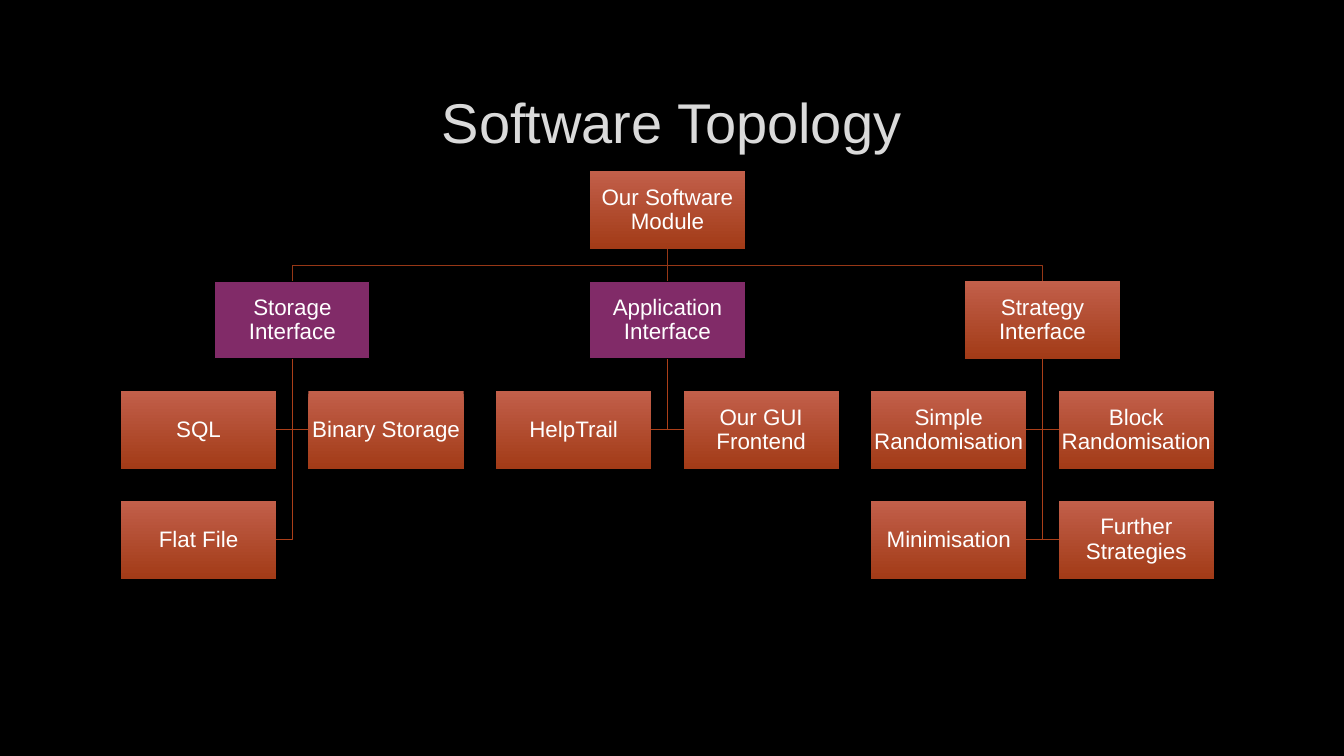
from pptx import Presentation
from pptx.dml.color import RGBColor
from pptx.enum.shapes import MSO_CONNECTOR as Connector, MSO_SHAPE as Shape
from pptx.enum.text import MSO_ANCHOR as Anchor, PP_ALIGN as Align
from pptx.oxml.ns import qn
from pptx.util import Inches, Pt
from lxml.etree import SubElement

COLORS = {
    "background": "000000", "title": "DADADA", "text": "FFFFFF",
    "top": "C25F4A", "bottom": "A23B17", "interface": "812B68",
    "trunk": "973716", "branch": "AB3F19",
}
FONT = "Arial"
BOX_WIDTH, BOX_HEIGHT = 1.54, 0.77
ROOT_X, ROOT_Y = 6.62, 1.7
COLUMN_STEP, ROW_STEP, LEAF_OFFSET = 3.72, 1.09, 0.93
GROUPS = [
    ("Storage Interface", True, ["SQL", "Binary Storage", "Flat File"]),
    ("Application Interface", True, ["HelpTrail", "Our GUI Frontend"]),
    ("Strategy Interface", False, ["Simple Randomisation", "Block Randomisation",
                                   "Minimisation", "Further Strategies"]),
]


class TopologySlide:
    """Draws styled elements on one slide."""

    def __init__(self, deck):
        self.page = deck.slides.add_slide(deck.slide_layouts[5])
        fill = self.page.background.fill
        fill.solid()
        fill.fore_color.rgb = self.color("background")

    def color(self, name):
        return RGBColor.from_string(COLORS[name])

    def label(self, frame, text, size, color):
        frame.word_wrap = True
        frame.vertical_anchor = Anchor.MIDDLE
        para = frame.paragraphs[0]
        para.alignment = Align.CENTER
        span = para.add_run()
        span.text = text
        span.font.name = FONT
        span.font.size = Pt(size)
        span.font.color.rgb = self.color(color)
        return para

    def title(self, text):
        box = self.page.shapes.title
        box.left, box.top = Inches(1), Inches(0.67)
        box.width, box.height = Inches(11.32), Inches(1.06)
        self.label(box.text_frame, text, 40, "title")

    def wire(self, points, color):
        corners = [(Inches(x), Inches(y)) for x, y in points]
        if len(corners) == 2:
            line = self.page.shapes.add_connector(Connector.STRAIGHT, *corners[0], *corners[1])
            SubElement(line._element.spPr, qn("a:effectLst"))
        else:
            builder = self.page.shapes.build_freeform(*corners[0])
            builder.add_line_segments(corners[1:], close=False)
            line = builder.convert_to_shape()
            line.fill.background()
            line.shadow.inherit = False
        line.line.color.rgb = self.color(color)
        line.line.width = Pt(0.75)

    def box(self, text, center, top, plain=False):
        box = self.page.shapes.add_shape(
            Shape.RECTANGLE, Inches(center - BOX_WIDTH / 2), Inches(top),
            Inches(BOX_WIDTH), Inches(BOX_HEIGHT))
        box.shadow.inherit = False
        if plain:
            box.fill.solid()
            box.fill.fore_color.rgb = self.color("interface")
            box.line.color.rgb = self.color("background")
            box.line.width = Pt(0.75)
        else:
            box.fill.gradient()
            box.fill.gradient_angle = 270
            for stop, name in zip(box.fill.gradient_stops, ("top", "bottom")):
                stop.color.rgb = self.color(name)
            box.line.fill.background()
        frame = box.text_frame
        frame.margin_left = frame.margin_right = Inches(0.01)
        frame.margin_top = frame.margin_bottom = Inches(0.01)
        self.label(frame, text, 16, "text").line_spacing = 0.9


def main():
    deck = Presentation()
    deck.slide_width, deck.slide_height = Inches(13.33), Inches(7.5)
    slide = TopologySlide(deck)
    slide.title("Software Topology")

    root_bottom = ROOT_Y + BOX_HEIGHT
    interface_y = ROOT_Y + ROW_STEP
    bus_y = (root_bottom + interface_y) / 2
    boxes = [("Our Software Module", ROOT_X, ROOT_Y)]
    for column, (name, plain, leaves) in enumerate(GROUPS):
        center = ROOT_X + (column - 1) * COLUMN_STEP
        bends = [] if center == ROOT_X else [(ROOT_X, bus_y), (center, bus_y)]
        slide.wire([(ROOT_X, root_bottom), *bends, (center, interface_y)], "trunk")
        boxes.append((name, center, interface_y, plain))
        for index, leaf in enumerate(leaves):
            row, side = divmod(index, 2)
            direction = 2 * side - 1
            leaf_x = center + direction * LEAF_OFFSET
            leaf_y = ROOT_Y + (row + 2) * ROW_STEP
            middle = leaf_y + BOX_HEIGHT / 2
            slide.wire([(center, interface_y + BOX_HEIGHT), (center, middle),
                        (leaf_x - direction * BOX_WIDTH / 2, middle)], "branch")
            boxes.append((leaf, leaf_x, leaf_y))
    for box in boxes:
        slide.box(*box)
    deck.save("out.pptx")


if __name__ == "__main__":
    main()
